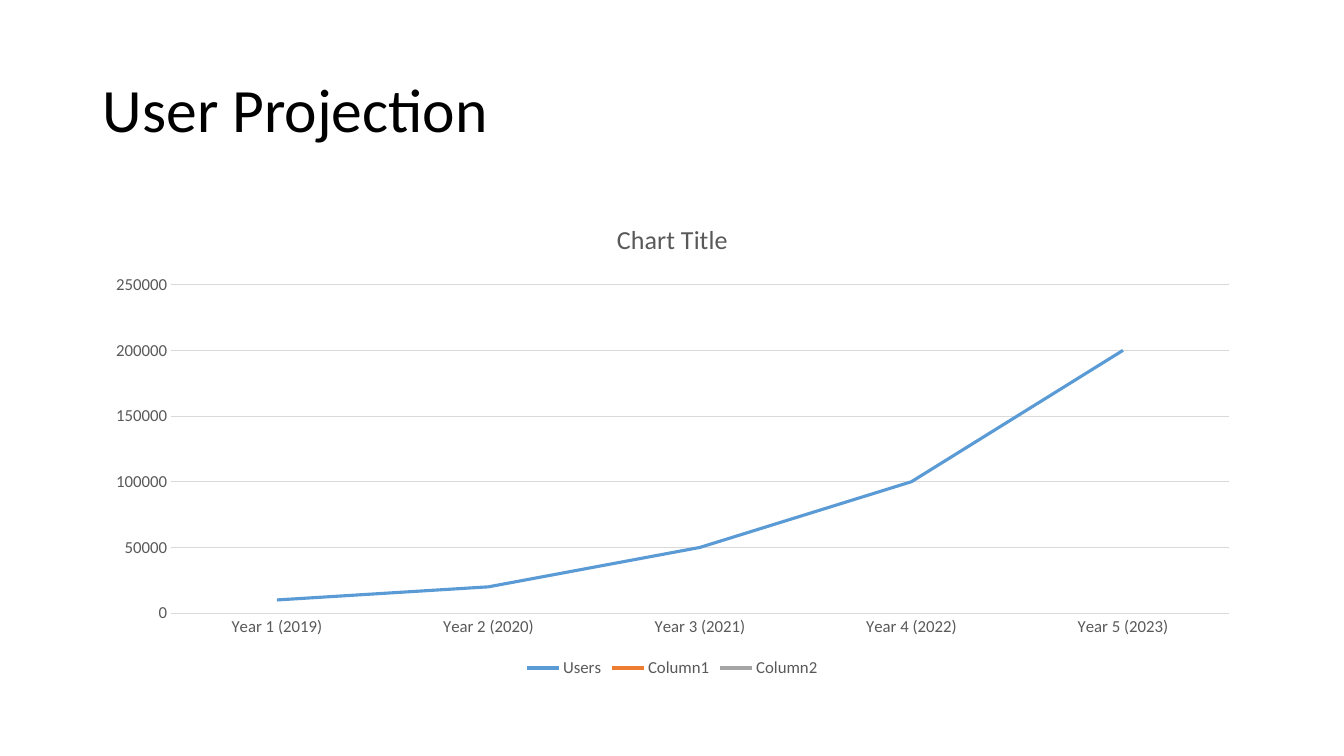
from pptx import Presentation
from pptx.chart.data import CategoryChartData
from pptx.dml.color import RGBColor
from pptx.enum.chart import XL_CHART_TYPE, XL_LEGEND_POSITION, XL_TICK_MARK
from pptx.enum.text import MSO_ANCHOR
from pptx.util import Emu, Pt

LINE = XL_CHART_TYPE.LINE
BOTTOM = XL_LEGEND_POSITION.BOTTOM
NO_TICK = XL_TICK_MARK.NONE
MIDDLE = MSO_ANCHOR.MIDDLE

EMU_PER_PX = 914400 / 100.8
FONT = "Calibri"
BLACK, GREY, RULE = "000000", "595959", "D9D9D9"

YEARS = [f"Year {number} ({2018 + number})" for number in range(1, 6)]
SERIES = [
    ("Users", [10000, 20000, 50000, 100000, 200000], "5B9BD5"),
    ("Column1", [None] * 5, "ED7D31"),
    ("Column2", [None] * 5, "A5A5A5"),
]


def px(length):
    return Emu(round(length * EMU_PER_PX))


def color(value):
    return RGBColor.from_string(value)


def style_font(font, size, fill):
    font.name = FONT
    font.size = Pt(size)
    font.bold = False
    font.color.rgb = color(fill)


def style_line(line, fill, width):
    line.color.rgb = color(fill)
    line.width = Pt(width)


def add_heading(slide, text, left, top, width, height):
    frame = slide.shapes.add_textbox(px(left), px(top), px(width), px(height)).text_frame
    frame.word_wrap = True
    frame.vertical_anchor = MIDDLE
    heading = frame.paragraphs[0]
    heading.text = text
    heading.line_spacing = 0.9
    style_font(heading.font, 44, BLACK)


def style_axes(chart):
    years, users = chart.category_axis, chart.value_axis
    for axis in (years, users):
        axis.major_tick_mark = axis.minor_tick_mark = NO_TICK
        style_font(axis.tick_labels.font, 12, GREY)
    style_line(years.format.line, RULE, 0.75)
    users.format.line.fill.background()
    users.minimum_scale, users.maximum_scale, users.major_unit = 0, 250000, 50000
    style_line(users.major_gridlines.format.line, RULE, 0.75)


def add_projection_chart(slide, left, top, width, height):
    projection = CategoryChartData(number_format="General")
    projection.categories = YEARS
    for name, values, _ in SERIES:
        projection.add_series(name, values)
    chart = slide.shapes.add_chart(
        LINE, px(left), px(top), px(width), px(height), projection
    ).chart
    style_font(chart.font, 10, BLACK)

    chart.has_title = True
    caption = chart.chart_title.text_frame.paragraphs[0]
    caption.text = "Chart Title"
    style_font(caption.font, 18.6, GREY)
    chart.chart_title.include_in_layout = False

    chart.has_legend = True
    chart.legend.position = BOTTOM
    chart.legend.include_in_layout = False
    style_font(chart.legend.font, 12, GREY)

    style_axes(chart)
    chart.plots[0].vary_by_categories = False
    for series, (_, _, stroke) in zip(chart.plots[0].series, SERIES):
        series.smooth = False
        style_line(series.format.line, stroke, 2.25)


def main():
    deck = Presentation()
    deck.slide_width, deck.slide_height = px(1344), px(756)
    slide = deck.slides.add_slide(deck.slide_layouts[6])
    add_heading(slide, "User Projection", 93, 40, 1159, 146)
    add_projection_chart(slide, 93, 202, 1159, 480)
    deck.save("out.pptx")


if __name__ == "__main__":
    main()
